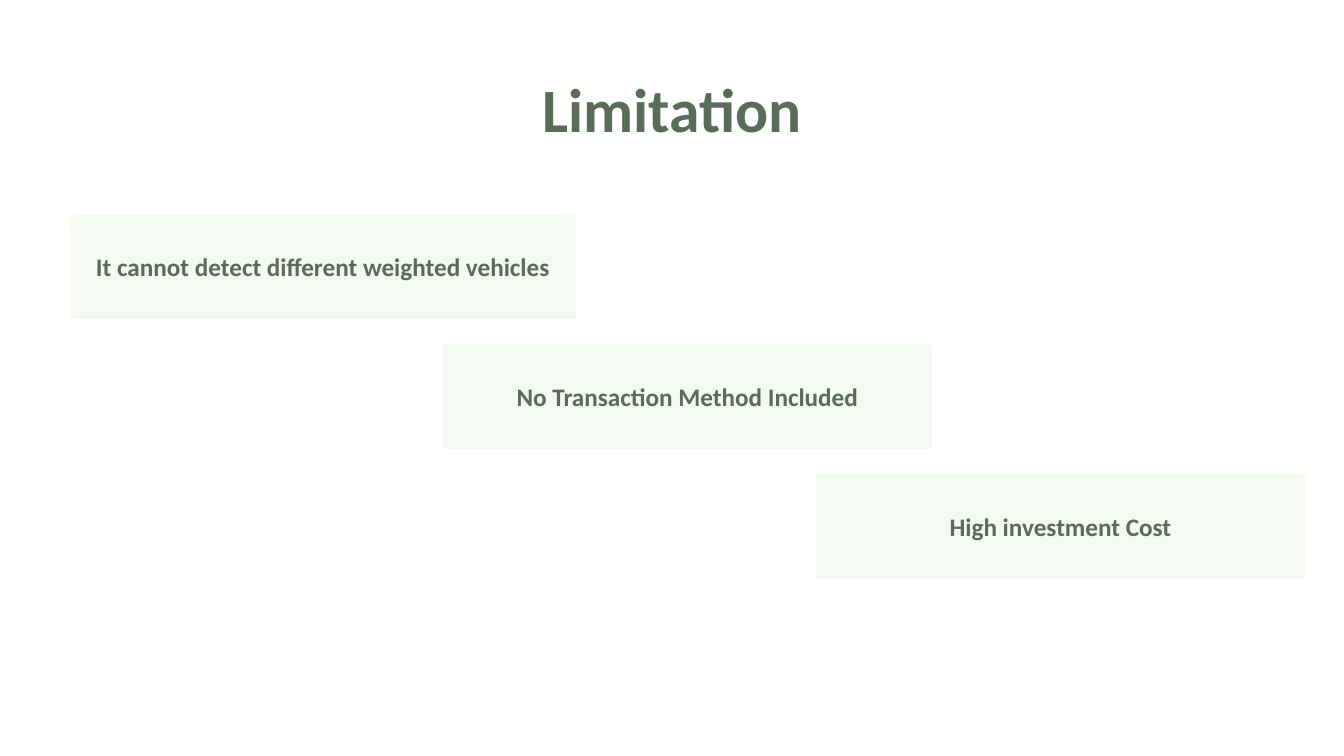
from pptx import Presentation
from pptx.dml.color import RGBColor
from pptx.enum.shapes import MSO_SHAPE
from pptx.enum.text import MSO_ANCHOR, PP_ALIGN
from pptx.util import Pt

SCALE = 914400 / 100.8
INK = "596C58"
PALE = "F4F9F1"
LIMITS = [
    ("It cannot detect different weighted vehicles", 504),
    ("No Transaction Method Included", 487),
    ("High investment Cost", 487),
]


def px(count):
    """Turn whole pixels into EMU."""
    return round(count * SCALE)


def tint(code):
    """Turn a hex string into a colour."""
    return RGBColor.from_string(code)


def write(frame, text, size):
    """Write one bold, centred line in the middle of a frame."""
    frame.word_wrap = True
    frame.vertical_anchor = MSO_ANCHOR.MIDDLE
    line = frame.paragraphs[0]
    line.alignment = PP_ALIGN.CENTER
    run = line.add_run()
    run.text = text
    run.font.name = "Calibri"
    run.font.size = Pt(size)
    run.font.bold = True
    run.font.color.rgb = tint(INK)
    return line


def add_title(slide, text):
    """Place and fill the title."""
    title = slide.shapes.title
    title.left, title.top = px(93), px(40)
    title.width, title.height = px(1159), px(146)
    write(title.text_frame, text, 44).line_spacing = 0.9


def add_box(slide, left, top, width, text):
    """Add one pale box with its limit."""
    box = slide.shapes.add_shape(
        MSO_SHAPE.RECTANGLE, px(left), px(top), px(width), px(103))
    box.shadow.inherit = False
    box.fill.solid()
    box.fill.fore_color.rgb = tint(PALE)
    box.line.color.rgb = tint(PALE)
    box.line.width = Pt(1)
    write(box.text_frame, text, 18)


def main():
    """Build the slide and save it."""
    deck = Presentation()
    deck.slide_width, deck.slide_height = px(1344), px(756)
    slide = deck.slides.add_slide(deck.slide_layouts[5])
    add_title(slide, "Limitation")
    for step, (text, width) in enumerate(LIMITS):
        add_box(slide, 71 + 373 * step, 215 + 130 * step, width, text)
    deck.save("out.pptx")


if __name__ == "__main__":
    main()
